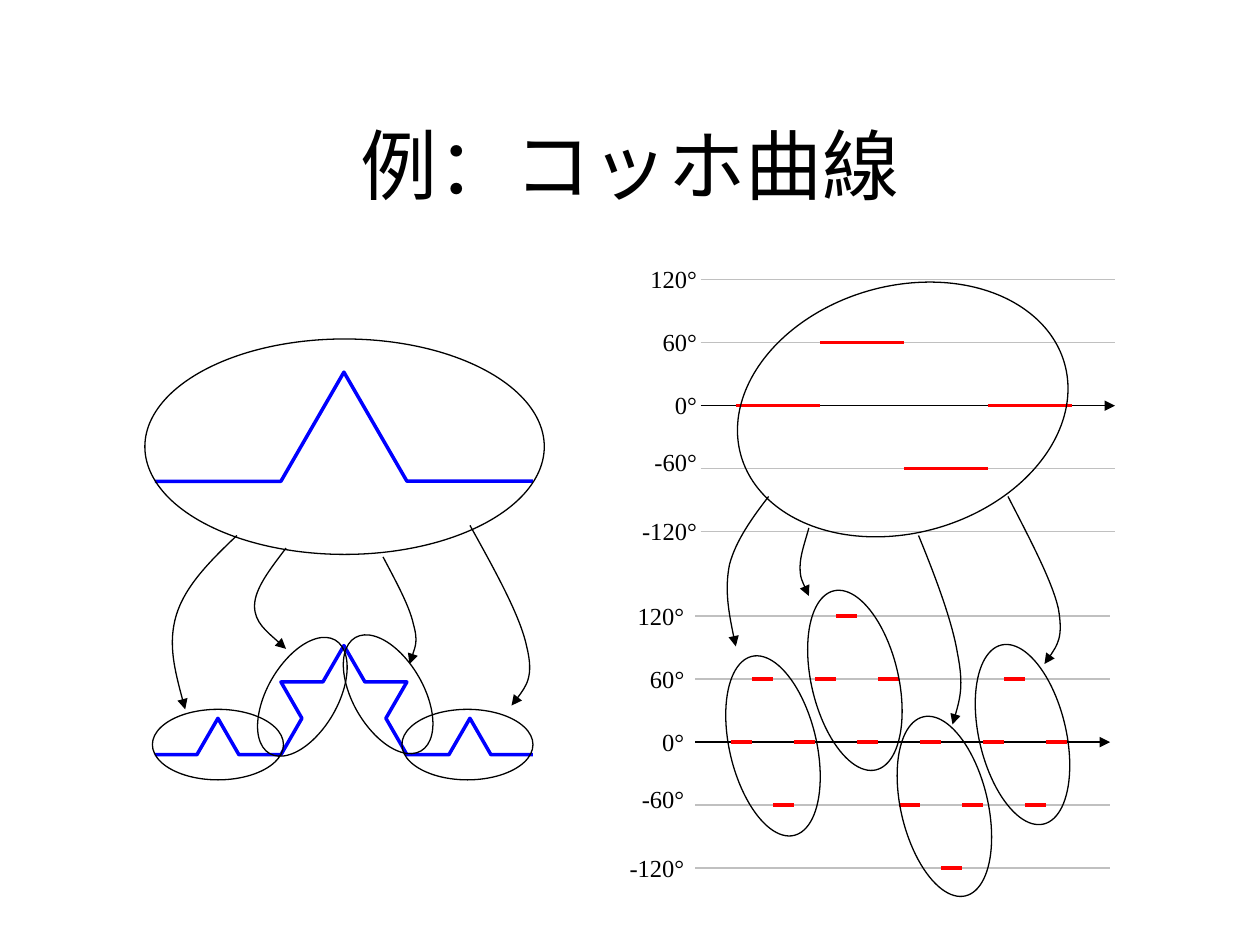
from math import cos, radians, sin

from lxml import etree
from pptx import Presentation
from pptx.dml.color import RGBColor
from pptx.enum.shapes import MSO_CONNECTOR, MSO_SHAPE
from pptx.enum.text import MSO_ANCHOR, PP_ALIGN
from pptx.oxml.ns import qn
from pptx.util import Inches, Pt

STRAIGHT = MSO_CONNECTOR.STRAIGHT
OVAL = MSO_SHAPE.OVAL
MIDDLE, TOP = MSO_ANCHOR.MIDDLE, MSO_ANCHOR.TOP
CENTER, RIGHT = PP_ALIGN.CENTER, PP_ALIGN.RIGHT

BLACK, GREY, RED, BLUE = "000000", "C0C0C0", "FF0000", "0000FF"
FONT = "Times New Roman"
THIN, THICK = 0.75, 2

TITLE = "例：コッホ曲線"
TURNS = [0, 60, -60, 0]
TURNS_2 = [a + b for a in TURNS for b in TURNS]
ANGLES = [120, 60, 0, -60, -120]
ROW, AXIS_W, LABEL_W, LABEL_H = 0.5, 3.29, 0.8, 0.34

# axis left, zero-degree height, first dash, dash width, label right edge, angles
CHARTS = [
    (5.56, 3.22, 5.84, 2 / 3, 5.63, TURNS),
    (5.52, 5.89, 5.80, 1 / 6, 5.53, TURNS_2),
]
CURVES = [(1.23, 3.82, 1, TURNS), (1.23, 5.99, 1 / 3, TURNS_2)]

BIG_CHART, SMALL_CHART = (2.67, 1.96), (0.69, 1.46)
BIG_CURVE, SMALL_CURVE = (3.17, 1.71), (1.04, 0.56)
ELLIPSES = [
    (5.83, 2.27, BIG_CHART, 344.1),
    (5.79, 5.19, SMALL_CHART, 346.8),
    (6.44, 4.67, SMALL_CHART, 346.8),
    (7.15, 5.67, SMALL_CHART, 346.8),
    (7.77, 5.10, SMALL_CHART, 346.8),
    (1.15, 2.69, BIG_CURVE, 0),
    (1.21, 5.63, SMALL_CURVE, 0),
    (3.19, 5.63, SMALL_CURVE, 0),
    (1.88, 5.25, SMALL_CURVE, 300),
    (2.56, 5.23, SMALL_CURVE, 60),
]
ARROWS = [
    [(6.10, 3.94), (5.97, 4.11), (5.84, 4.29), (5.79, 4.48), (5.75, 4.68), (5.79, 4.90), (5.84, 5.13)],
    [(6.42, 4.19), (6.39, 4.30), (6.35, 4.41), (6.35, 4.50), (6.35, 4.59), (6.39, 4.66), (6.42, 4.73)],
    [(7.29, 4.25), (7.43, 4.59), (7.56, 4.94), (7.60, 5.19), (7.65, 5.44), (7.61, 5.59), (7.56, 5.75)],
    [(8.00, 3.94), (8.17, 4.27), (8.35, 4.61), (8.40, 4.83), (8.44, 5.06), (8.37, 5.16), (8.29, 5.27)],
    [(1.88, 4.25), (1.67, 4.45), (1.47, 4.65), (1.40, 4.88), (1.33, 5.11), (1.40, 5.37), (1.47, 5.63)],
    [(2.27, 4.35), (2.15, 4.51), (2.02, 4.67), (2.02, 4.81), (2.02, 4.94), (2.15, 5.04), (2.27, 5.15)],
    [(3.04, 4.42), (3.14, 4.61), (3.25, 4.81), (3.28, 4.95), (3.32, 5.09), (3.28, 5.18), (3.25, 5.27)],
    [(3.73, 4.17), (3.93, 4.53), (4.13, 4.89), (4.18, 5.13), (4.24, 5.37), (4.15, 5.49), (4.06, 5.60)],
]


def rgb(color):
    return RGBColor.from_string(color)


def style_line(shape, color, width, arrow=False):
    shape.line.color.rgb = rgb(color)
    shape.line.width = Pt(width)
    if arrow:
        ln = shape.line._get_or_add_ln()
        etree.SubElement(ln, qn("a:tailEnd"), type="triangle")


def add_line(s, x1, x2, y, color, width, arrow=False):
    c = s.shapes.add_connector(STRAIGHT, *map(Inches, (x1, y, x2, y)))
    style_line(c, color, width, arrow)
    etree.SubElement(c._element.spPr, qn("a:effectLst"))


def add_text(s, box, text, size, align, anchor):
    tf = s.shapes.add_textbox(*map(Inches, box)).text_frame
    tf.word_wrap = True
    tf.vertical_anchor = anchor
    p = tf.paragraphs[0]
    p.text = text
    p.alignment = align
    p.font.size, p.font.name = Pt(size), FONT
    p.font.color.rgb = rgb(BLACK)


def add_outline(s, points, color, width, arrow=False):
    emu = [(Inches(x), Inches(y)) for x, y in points]
    builder = s.shapes.build_freeform(*emu[0])
    builder.add_line_segments(emu[1:], close=False)
    shape = builder.convert_to_shape()
    shape.fill.background()
    shape.shadow.inherit = False
    style_line(shape, color, width, arrow)
    return shape


def add_curved_arrow(s, points):
    shape = add_outline(s, points, BLACK, THIN, arrow=True)
    segments = list(shape._element.iter(qn("a:lnTo")))
    for i in range(0, len(segments), 3):
        bezier = etree.Element(qn("a:cubicBezTo"))
        segments[i].addprevious(bezier)
        for segment in segments[i:i + 3]:
            bezier.append(segment[0])
            segment.getparent().remove(segment)


def add_angle_chart(s, left, zero, start, dash, label_right, angles):
    for angle in ANGLES:
        y = zero - angle / 60 * ROW
        add_line(s, left, left + AXIS_W, y, GREY if angle else BLACK, THIN, angle == 0)
        top = y - (0.22 if angle == -60 else 0.17)
        add_text(s, (label_right - LABEL_W, top, LABEL_W, LABEL_H), f"{angle}°", 14, RIGHT, TOP)
    for i, angle in enumerate(angles):
        x = start + i * dash
        add_line(s, x, x + dash, zero - angle / 60 * ROW, RED, THICK)


def add_koch_curve(s, x, y, step, angles):
    points = [(x, y)]
    for angle in angles:
        x += step * cos(radians(angle))
        y -= step * sin(radians(angle))
        points.append((x, y))
    add_outline(s, points, BLUE, THICK)


def add_ellipse(s, x, y, size, rotation):
    shape = s.shapes.add_shape(OVAL, *map(Inches, (x, y, *size)))
    shape.rotation = rotation
    shape.fill.background()
    shape.shadow.inherit = False
    style_line(shape, BLACK, THIN)


def main():
    prs = Presentation()
    prs.slide_width, prs.slide_height = Inches(10), Inches(7.5)
    s = prs.slides.add_slide(prs.slide_layouts[6])
    add_text(s, (0.75, 0.67, 8.5, 1.25), TITLE, 44, CENTER, MIDDLE)
    for chart in CHARTS:
        add_angle_chart(s, *chart)
    for curve in CURVES:
        add_koch_curve(s, *curve)
    for ellipse in ELLIPSES:
        add_ellipse(s, *ellipse)
    for points in ARROWS:
        add_curved_arrow(s, points)
    prs.save("out.pptx")


if __name__ == "__main__":
    main()
